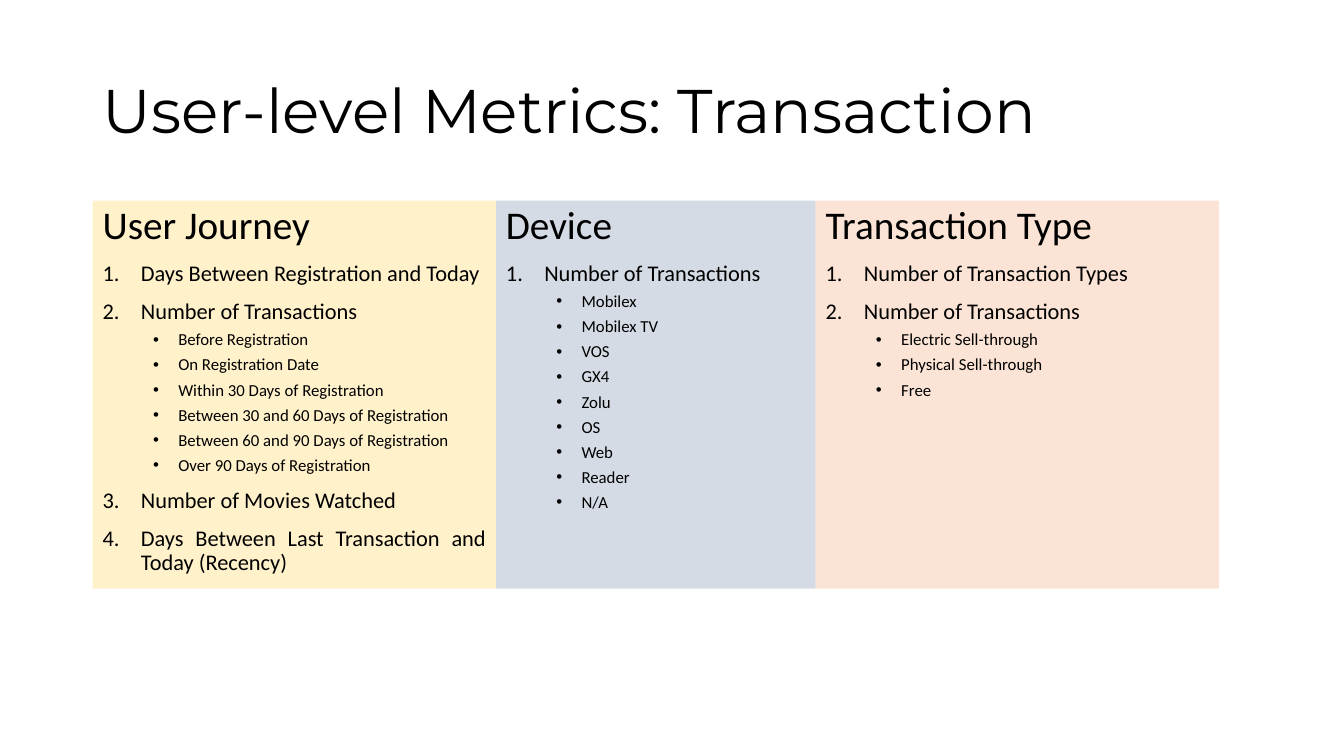
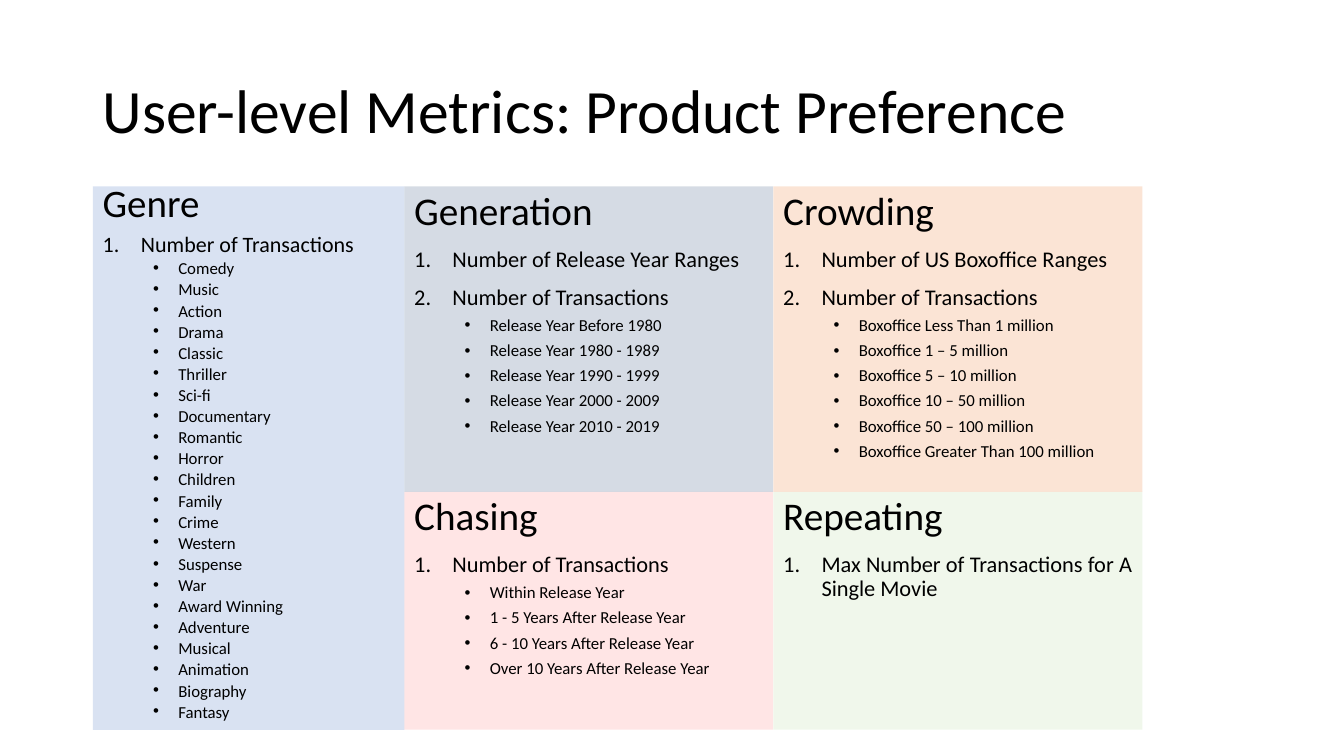
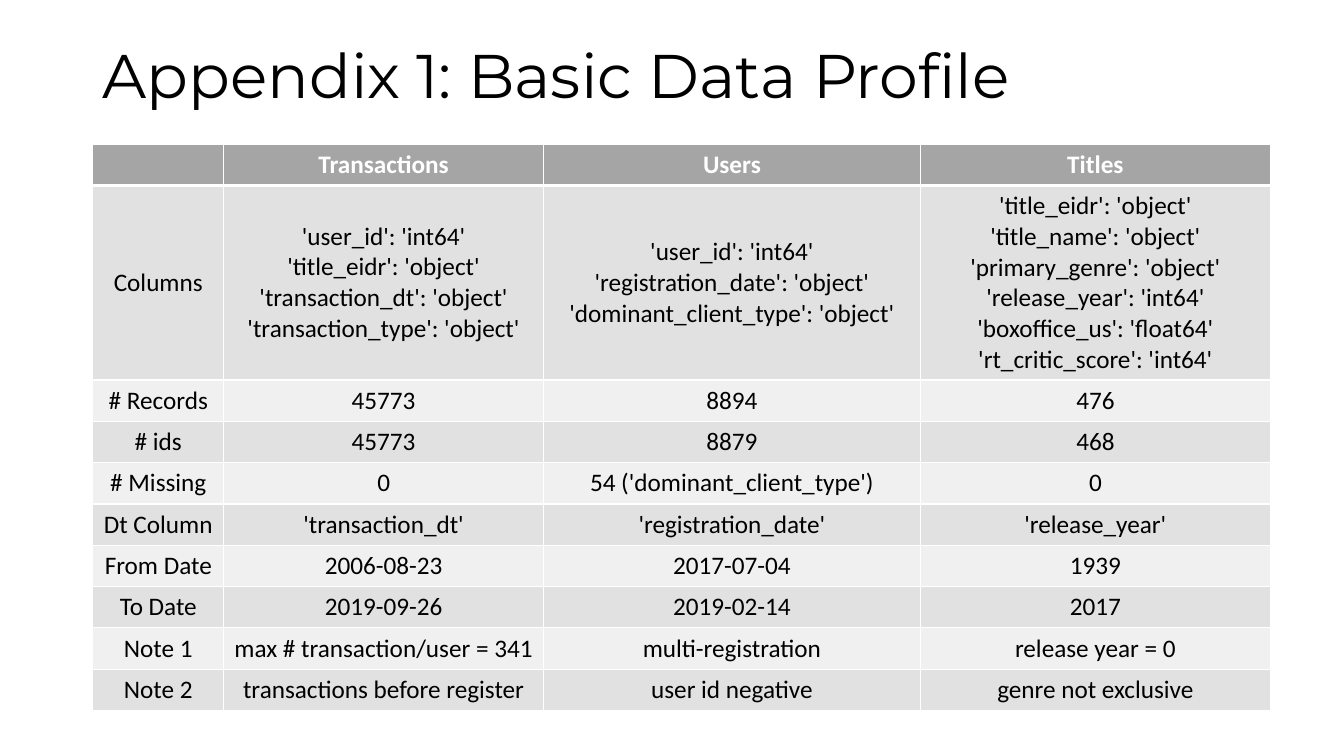
"""Build three slides on user-level metrics and the data profile."""
from dataclasses import dataclass

from lxml.etree import SubElement
from pptx import Presentation
from pptx.dml.color import RGBColor
from pptx.enum.shapes import MSO_SHAPE as Shape
from pptx.enum.text import MSO_ANCHOR as Anchor, PP_ALIGN as Align
from pptx.oxml.ns import qn
from pptx.util import Inches, Pt

BODY_FONT = "Calibri"
TITLE_FONT = "Montserrat"
BLACK, WHITE = "000000", "FFFFFF"
YELLOW, SLATE, PEACH = "FFE699", "ADB9CA", "F8CBAD"
BLUE, RED, GREEN = "B4C7E7", "FF0000", "E2F0D9"
HEADER_GRAY, DARK_BAND, LIGHT_BAND = "A5A5A5", "E1E1E1", "F0F0F0"
LEFT = 0.92


@dataclass(frozen=True)
class TextStyle:
    heading: float = 28
    item: float = 16
    detail: float = 12
    line_spacing: float = 0.9


@dataclass(frozen=True)
class Item:
    text: str
    details: tuple[str, ...] = ()


@dataclass(frozen=True)
class Panel:
    heading: str
    left: float
    top: float
    width: float
    height: float
    color: str
    items: tuple[Item, ...]
    opacity: int = 50
    style: TextStyle = TextStyle()


def rgb(color: str) -> RGBColor:
    return RGBColor.from_string(color)


def add_span(para, text: str, size: float, color: str = BLACK,
             font: str = BODY_FONT, bold: bool = False) -> None:
    span = para.add_run()
    span.text = text
    span.font.size = Pt(size)
    span.font.name = font
    span.font.bold = bold
    span.font.color.rgb = rgb(color)


def add_title(page, text: str, top: float = 0.4, font: str = TITLE_FONT) -> None:
    box = page.shapes.add_textbox(Inches(LEFT), Inches(top), Inches(11.5), Inches(1.45))
    frame = box.text_frame
    frame.word_wrap = True
    frame.vertical_anchor = Anchor.MIDDLE
    para = frame.paragraphs[0]
    para.line_spacing = 0.9
    add_span(para, text, 44, font=font)


def set_marker(para, margin: float, hanging: float, tag: str, **attributes: str) -> None:
    properties = para._p.get_or_add_pPr()
    properties.set("marL", str(Inches(margin)))
    properties.set("indent", str(-Inches(hanging)))
    SubElement(properties, qn("a:buFont"), typeface="Arial" if tag == "a:buChar" else "+mj-lt")
    SubElement(properties, qn(tag), **attributes)


def add_line(frame, text: str, size: float, spacing: float, before: float):
    para = frame.add_paragraph() if before else frame.paragraphs[0]
    para.alignment = Align.JUSTIFY
    para.line_spacing = spacing
    para.space_before = Pt(before)
    add_span(para, text, size)
    return para


def add_panel(page, panel: Panel) -> None:
    box = page.shapes.add_shape(Shape.RECTANGLE, Inches(panel.left), Inches(panel.top),
                                Inches(panel.width), Inches(panel.height))
    box.shadow.inherit = False
    box.line.fill.background()
    box.fill.solid()
    box.fill.fore_color.rgb = rgb(panel.color)
    color = box.element.spPr.find(qn("a:solidFill")).find(qn("a:srgbClr"))
    SubElement(color, qn("a:alpha"), val=str(panel.opacity * 1000))
    frame = box.text_frame
    frame.word_wrap = True
    frame.vertical_anchor = Anchor.TOP
    style = panel.style
    add_line(frame, panel.heading, style.heading, style.line_spacing, 0)
    for item in panel.items:
        para = add_line(frame, item.text, style.item, style.line_spacing, 10)
        set_marker(para, 0.38, 0.38, "a:buAutoNum", type="arabicPeriod")
        for detail in item.details:
            para = add_line(frame, detail, style.detail, style.line_spacing, 5)
            para.level = 1
            set_marker(para, 0.75, 0.25, "a:buChar", char="•")


def set_borders(cell, top: float, bottom: float) -> None:
    properties = cell._tc.get_or_add_tcPr()
    for side, width in (("L", 1), ("R", 1), ("T", top), ("B", bottom)):
        line = SubElement(properties, qn(f"a:ln{side}"), w=str(Pt(width)))
        fill = SubElement(line, qn("a:solidFill"))
        SubElement(fill, qn("a:srgbClr"), val=WHITE)


def fill_cell(cell, text: str, row: int) -> None:
    header = row == 0
    set_borders(cell, top=3 if row == 1 else 1, bottom=3 if header else 1)
    cell.fill.solid()
    band = DARK_BAND if row % 2 else LIGHT_BAND
    cell.fill.fore_color.rgb = rgb(HEADER_GRAY if header else band)
    cell.vertical_anchor = Anchor.MIDDLE
    for index, line in enumerate(text.splitlines()):
        para = cell.text_frame.add_paragraph() if index else cell.text_frame.paragraphs[0]
        para.alignment = Align.CENTER
        add_span(para, line, 18, WHITE if header else BLACK, bold=header)


def add_profile_table(page, rows: tuple[tuple[str, ...], ...]) -> None:
    widths = (1.3, 3.17, 3.74, 3.47)
    heights = [1.93 if row == 1 else 0.41 for row in range(len(rows))]
    table = page.shapes.add_table(len(rows), len(widths), Inches(LEFT), Inches(1.43),
                                  Inches(sum(widths)), Inches(sum(heights))).table
    table.horz_banding = False
    for column, width in zip(table.columns, widths):
        column.width = Inches(width)
    for row, height in zip(table.rows, heights):
        row.height = Inches(height)
    for row, texts in enumerate(rows):
        for column, text in enumerate(texts):
            fill_cell(table.cell(row, column), text, row)


TRANSACTIONS = "Number of Transactions"

TRANSACTION_PANELS = (
    Panel("User Journey", LEFT, 1.99, 4, 3.85, YELLOW, (
        Item("Days Between Registration and Today"),
        Item(TRANSACTIONS, (
            "Before Registration", "On Registration Date", "Within 30 Days of Registration",
            "Between 30 and 60 Days of Registration",
            "Between 60 and 90 Days of Registration", "Over 90 Days of Registration")),
        Item("Number of Movies Watched"),
        Item("Days Between Last Transaction and Today (Recency)"))),
    Panel("Device", 4.92, 1.99, 3.17, 3.85, SLATE, (
        Item(TRANSACTIONS, ("Mobilex", "Mobilex TV", "VOS", "GX4", "Zolu", "OS", "Web",
                            "Reader", "N/A")),)),
    Panel("Transaction Type", 8.09, 1.99, 4, 3.85, PEACH, (
        Item("Number of Transaction Types"),
        Item(TRANSACTIONS, ("Electric Sell-through", "Physical Sell-through", "Free")))),
)

PREFERENCE_PANELS = (
    Panel("Genre", LEFT, 1.85, 3.09, 5.39, BLUE, (
        Item(TRANSACTIONS, (
            "Comedy", "Music", "Action", "Drama", "Classic", "Thriller", "Sci-fi",
            "Documentary", "Romantic", "Horror", "Children", "Family", "Crime", "Western",
            "Suspense", "War", "Award Winning", "Adventure", "Musical", "Animation",
            "Biography", "Fantasy")),),
        style=TextStyle(heading=27.8, item=15.7, line_spacing=0.7)),
    Panel("Generation", 4.01, 1.85, 3.66, 3.03, SLATE, (
        Item("Number of Release Year Ranges"),
        Item(TRANSACTIONS, (
            "Release Year Before 1980", "Release Year 1980 - 1989", "Release Year 1990 - 1999",
            "Release Year 2000 - 2009", "Release Year 2010 - 2019")))),
    Panel("Crowding", 7.67, 1.85, 3.66, 3.03, PEACH, (
        Item("Number of US Boxoffice Ranges"),
        Item(TRANSACTIONS, (
            "Boxoffice Less Than 1 million", "Boxoffice 1 – 5 million",
            "Boxoffice 5 – 10 million", "Boxoffice 10 – 50 million",
            "Boxoffice 50 – 100 million", "Boxoffice Greater Than 100 million")))),
    Panel("Chasing", 4.01, 4.88, 3.66, 2.36, RED, (
        Item(TRANSACTIONS, (
            "Within Release Year", "1 - 5 Years After Release Year",
            "6 - 10 Years After Release Year", "Over 10 Years After Release Year")),),
        opacity=10),
    Panel("Repeating", 7.67, 4.88, 3.66, 2.36, GREEN, (
        Item("Max Number of Transactions for A Single Movie"),)),
)

PROFILE_ROWS = (
    ("", "Transactions", "Users", "Titles"),
    ("Columns",
     "'user_id': 'int64'\n'title_eidr': 'object'\n"
     "'transaction_dt': 'object'\n'transaction_type': 'object'",
     "'user_id': 'int64'\n'registration_date': 'object'\n'dominant_client_type': 'object'",
     "'title_eidr': 'object'\n'title_name': 'object'\n'primary_genre': 'object'\n"
     "'release_year': 'int64'\n'boxoffice_us': 'float64'\n'rt_critic_score': 'int64'"),
    ("# Records", "45773", "8894", "476"),
    ("# ids", "45773", "8879", "468"),
    ("# Missing", "0", "54 ('dominant_client_type')", "0"),
    ("Dt Column", "'transaction_dt'", "'registration_date'", "'release_year'"),
    ("From Date", "2006-08-23", "2017-07-04", "1939"),
    ("To Date", "2019-09-26", "2019-02-14", "2017"),
    ("Note 1", "max # transaction/user = 341", "multi-registration", "release year = 0"),
    ("Note 2", "transactions before register", "user id negative", "genre not exclusive"),
)


def main() -> None:
    deck = Presentation()
    deck.slide_width, deck.slide_height = Inches(13.33), Inches(7.5)
    blank = deck.slide_layouts[6]
    for title, font, panels in (
            ("User-level Metrics: Transaction", TITLE_FONT, TRANSACTION_PANELS),
            ("User-level Metrics: Product Preference", BODY_FONT, PREFERENCE_PANELS)):
        page = deck.slides.add_slide(blank)
        add_title(page, title, font=font)
        for panel in panels:
            add_panel(page, panel)
    page = deck.slides.add_slide(blank)
    add_title(page, "Appendix 1: Basic Data Profile", top=0.05)
    add_profile_table(page, PROFILE_ROWS)
    deck.save("out.pptx")


if __name__ == "__main__":
    main()
